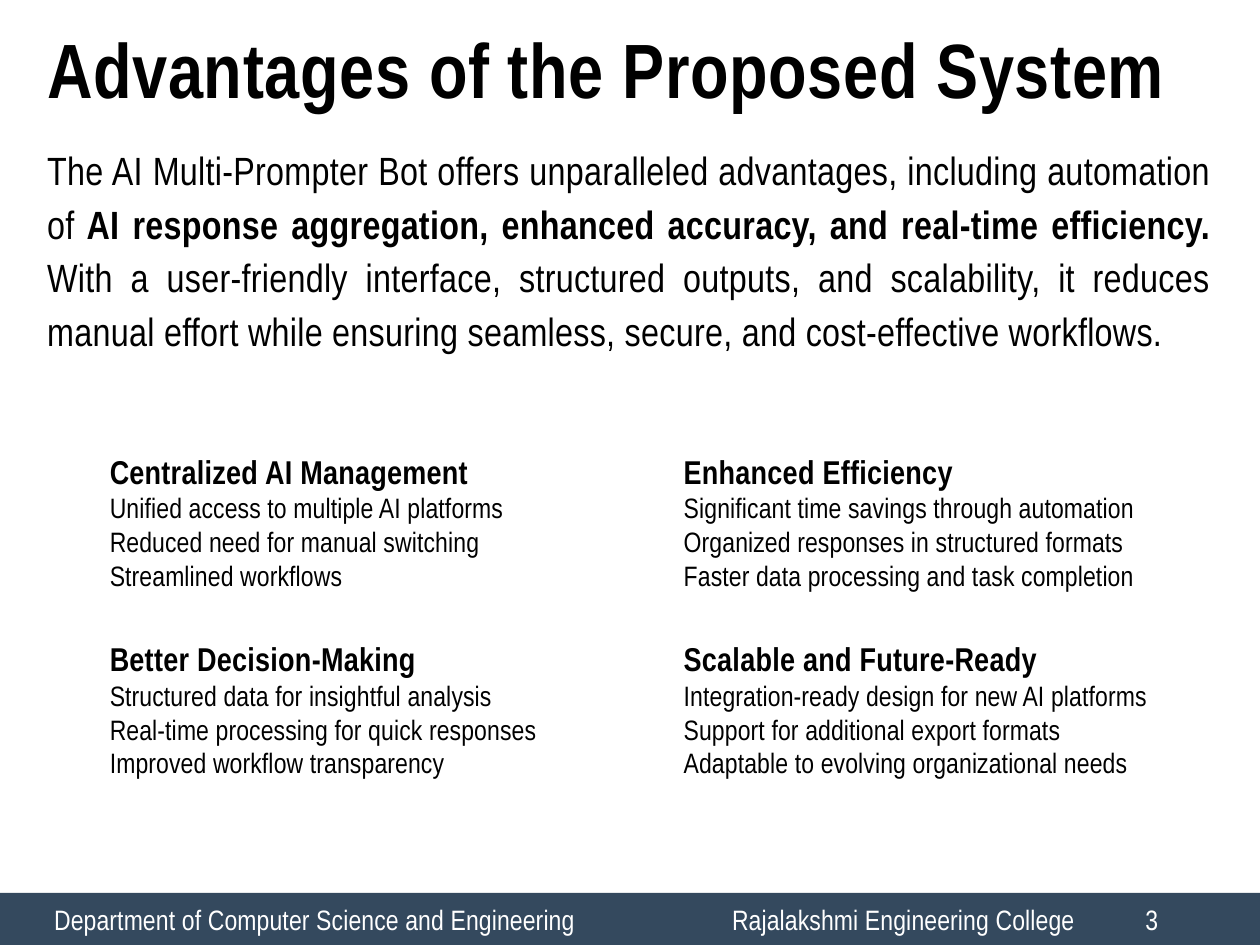
from dataclasses import dataclass

from pptx import Presentation
from pptx import util as u
from pptx.dml import color
from pptx.enum import shapes, text


@dataclass(frozen=True)
class Type:
    """Size, line height and letter spacing of one text style, in points."""
    size: float
    line: float
    tracking: float


@dataclass(frozen=True)
class Theme:
    """Font, colours and text styles of the slide."""
    font: str = "Arial Narrow"
    ink: color.RGBColor = color.RGBColor(0, 0, 0)
    paper: color.RGBColor = color.RGBColor(255, 255, 255)
    band: color.RGBColor = color.RGBColor(0x34, 0x49, 0x5E)
    title: Type = Type(46.9, 56.3, 0.4)
    intro: Type = Type(24, 32.8, 0.2)
    heading: Type = Type(20.1, 24.1, 0.2)
    detail: Type = Type(17.1, 20.5, 0.1)


THEME = Theme()

TITLE = "Advantages of the Proposed System"
INTRO = [
    ("The AI Multi-Prompter Bot offers unparalleled advantages, including automation of", False),
    (" AI response aggregation, enhanced accuracy, and real-time efficiency.", True),
    (" With a user-friendly interface, structured outputs, and scalability, it reduces manual"
     " effort while ensuring seamless, secure, and cost-effective workflows.", False),
]
ADVANTAGES = [
    ("Centralized AI Management",
     ["Unified access to multiple AI platforms",
      "Reduced need for manual switching",
      "Streamlined workflows"]),
    ("Enhanced Efficiency",
     ["Significant time savings through automation",
      "Organized responses in structured formats",
      "Faster data processing and task completion"]),
    ("Better Decision-Making",
     ["Structured data for insightful analysis",
      "Real-time processing for quick responses",
      "Improved workflow transparency"]),
    ("Scalable and Future-Ready",
     ["Integration-ready design for new AI platforms",
      "Support for additional export formats",
      "Adaptable to evolving organizational needs"]),
]
FOOTER = ["Department of Computer Science and Engineering",
          "Rajalakshmi Engineering College \t\t3"]


def apply(target, values):
    """Set every attribute named in a dict of format values."""
    for name, value in values.items():
        setattr(target, name, value)


def format_frame(frame, anchor=text.MSO_ANCHOR.TOP, margin=0):
    """Give a text frame wrapping, a fixed size, an anchor and equal margins."""
    values = {"word_wrap": True, "auto_size": text.MSO_AUTO_SIZE.NONE,
              "vertical_anchor": anchor}
    sides = ("left", "top", "right", "bottom")
    apply(frame, values | {f"margin_{side}": u.Inches(margin) for side in sides})


def write(paragraph, runs, style, alignment, ink=THEME.ink):
    """Fill a paragraph with (words, bold) runs in one text style."""
    apply(paragraph, {"alignment": alignment, "line_spacing": u.Pt(style.line),
                      "space_before": u.Pt(0), "space_after": u.Pt(0)})
    for words, bold in runs:
        run = paragraph.add_run()
        run.text = words
        apply(run.font, {"name": THEME.font, "size": u.Pt(style.size), "bold": bold})
        run.font.color.rgb = ink
        run._r.get_or_add_rPr().set("spc", str(round(style.tracking * 100)))


def add_text_box(slide, box):
    """Add a plain text box and return its frame."""
    frame = slide.shapes.add_textbox(*map(u.Inches, box)).text_frame
    format_frame(frame)
    return frame


def place_title(slide, box):
    """Move and format the title placeholder."""
    title = slide.shapes.title
    apply(title, dict(zip(("left", "top", "width", "height"), map(u.Inches, box))))
    format_frame(title.text_frame)
    write(title.text_frame.paragraphs[0], [(TITLE, True)], THEME.title, text.PP_ALIGN.LEFT)


def add_intro(slide, box):
    """Add the justified introduction."""
    frame = add_text_box(slide, box)
    write(frame.paragraphs[0], INTRO, THEME.intro, text.PP_ALIGN.JUSTIFY)


def add_advantage(slide, box, heading, details):
    """Add one heading with its detail lines."""
    frame = add_text_box(slide, box)
    write(frame.paragraphs[0], [(heading, True)], THEME.heading, text.PP_ALIGN.JUSTIFY)
    for detail in details:
        write(frame.add_paragraph(), [(detail, False)], THEME.detail, text.PP_ALIGN.JUSTIFY)


def add_advantages(slide, box):
    """Lay the advantages out in a grid of two columns."""
    left, top, width, height = box
    column_step, row_step = 4.86, 1.59
    for index, (heading, details) in enumerate(ADVANTAGES):
        row, column = divmod(index, 2)
        cell = (left + column * column_step, top + row * row_step,
                width - column_step, height - row_step)
        add_advantage(slide, cell, heading, details)


def add_footer(slide, box):
    """Split the footer band evenly between its labels."""
    left, top, width, height = box
    part = width / len(FOOTER)
    for index, label in enumerate(FOOTER):
        place = (left + index * part, top, part, height)
        shape = slide.shapes.add_shape(shapes.MSO_SHAPE.RECTANGLE, *map(u.Inches, place))
        shape.shadow.inherit = False
        shape.fill.solid()
        shape.fill.fore_color.rgb = THEME.band
        shape.line.fill.background()
        format_frame(shape.text_frame, text.MSO_ANCHOR.MIDDLE, 0.06)
        write(shape.text_frame.paragraphs[0], [(label, False)], THEME.detail,
              text.PP_ALIGN.CENTER, THEME.paper)


def main():
    """Build and save the slide."""
    presentation = Presentation()
    apply(presentation, {"slide_width": u.Inches(10.67), "slide_height": u.Inches(8)})
    slide = presentation.slides.add_slide(presentation.slide_layouts[5])
    add_footer(slide, (0, 7.56, 10.67, 0.44))
    place_title(slide, (0.4, 0.18, 10.02, 0.79))
    add_intro(slide, (0.4, 1.18, 9.87, 2.24))
    add_advantages(slide, (0.93, 3.82, 9.3, 2.77))
    presentation.save("out.pptx")


if __name__ == "__main__":
    main()
